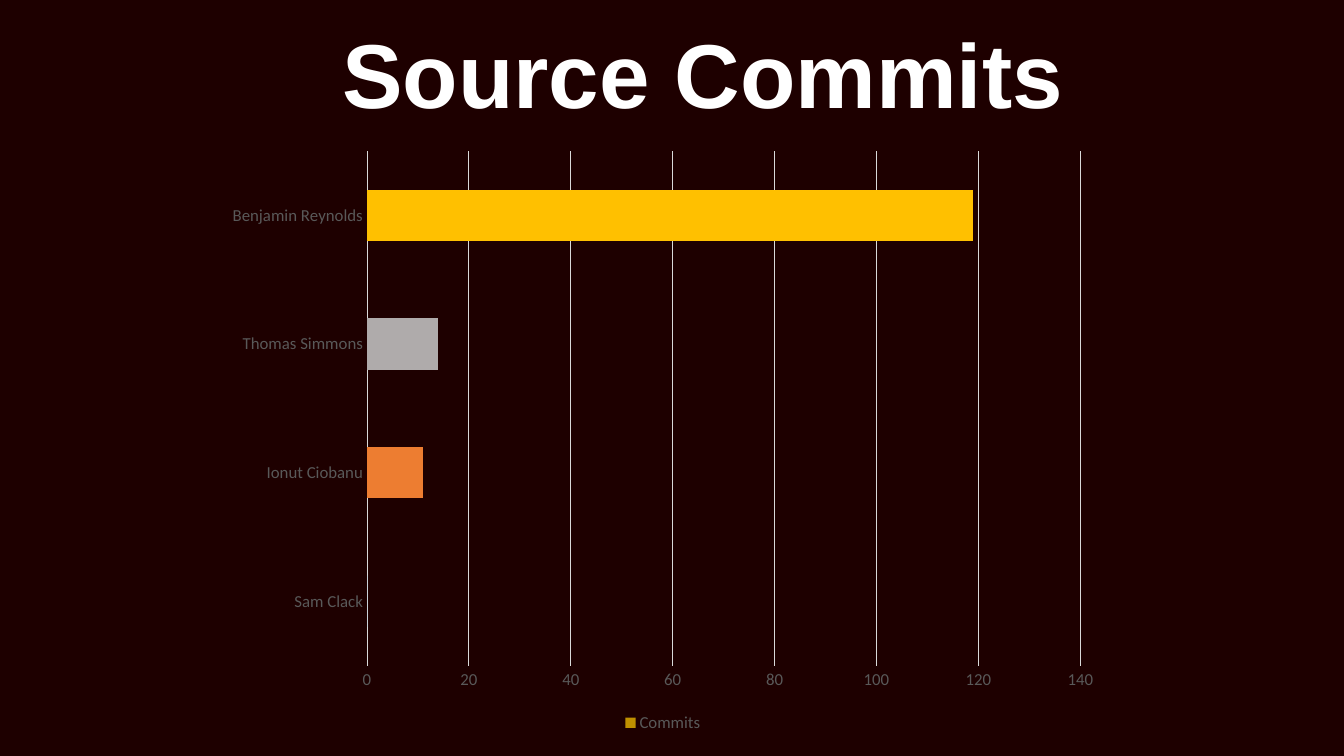
from pptx import Presentation
from pptx.chart.data import CategoryChartData
from pptx.dml.color import RGBColor
from pptx.enum.chart import XL_CHART_TYPE, XL_LEGEND_POSITION, XL_TICK_MARK
from pptx.enum.text import MSO_ANCHOR, MSO_AUTO_SIZE, PP_ALIGN
from pptx.util import Inches, Pt

COLORS = {
    "back": "1E0000", "title": "FFFFFF", "label": "595959", "grid": "D9D9D9",
    "series": "BF9000", "blue": "5B9BD5", "orange": "ED7D31",
    "gray": "AFABAB", "gold": "FFC000",
}
COMMITS = [
    ("Sam Clack", 0, "blue"),
    ("Ionut Ciobanu", 11, "orange"),
    ("Thomas Simmons", 14, "gray"),
    ("Benjamin Reynolds", 119, "gold"),
]


class Deck:
    def __init__(self):
        self.prs = Presentation()
        self.prs.slide_width = Inches(13.33)
        self.prs.slide_height = Inches(7.5)
        self.slide = self.prs.slides.add_slide(self.prs.slide_layouts[5])
        self.paint(self.slide.background.fill, "back")

    def paint(self, fill, color):
        fill.solid()
        fill.fore_color.rgb = RGBColor.from_string(COLORS[color])

    def style(self, font, size, color, name="Calibri", bold=False):
        font.size = Pt(size)
        font.name = name
        font.bold = bold
        font.color.rgb = RGBColor.from_string(COLORS[color])

    def title(self, text, left, top, width, height):
        box = self.slide.shapes.title
        box.left, box.top = Inches(left), Inches(top)
        box.width, box.height = Inches(width), Inches(height)
        frame = box.text_frame
        frame.text = text
        frame.word_wrap = True
        frame.auto_size = MSO_AUTO_SIZE.NONE
        frame.vertical_anchor = MSO_ANCHOR.MIDDLE
        para = frame.paragraphs[0]
        para.alignment = PP_ALIGN.CENTER
        para.line_spacing = 0.9
        self.style(para.runs[0].font, 64.8, "title", "Arial", True)

    def bars(self, name, rows, left, top, width, height):
        data = CategoryChartData()
        data.categories = [row[0] for row in rows]
        data.add_series(name, [row[1] for row in rows])
        chart = self.slide.shapes.add_chart(
            XL_CHART_TYPE.BAR_CLUSTERED, Inches(left), Inches(top),
            Inches(width), Inches(height), data).chart
        chart.has_title = False
        self.style(chart.font, 12, "label")

        # Axes and gridlines
        for axis in (chart.category_axis, chart.value_axis):
            axis.major_tick_mark = axis.minor_tick_mark = XL_TICK_MARK.NONE
            axis.format.line.fill.background()
            self.style(axis.tick_labels.font, 12, "label")
        axis = chart.value_axis
        axis.minimum_scale, axis.maximum_scale, axis.major_unit = 0, 140, 20
        axis.has_major_gridlines = True
        line = axis.major_gridlines.format.line
        line.width = Pt(0.75)
        self.paint(line.fill, "grid")

        # Legend
        chart.has_legend = True
        chart.legend.position = XL_LEGEND_POSITION.BOTTOM
        chart.legend.include_in_layout = False
        self.style(chart.legend.font, 12, "label")

        # One colour for each person
        plot = chart.plots[0]
        plot.gap_width = 150
        plot.vary_by_categories = False
        series = plot.series[0]
        self.paint(series.format.fill, "series")
        for i, row in enumerate(rows):
            self.paint(series.points[i].format.fill, row[2])


def main():
    deck = Deck()
    deck.title("Source Commits", 1.95, 0.32, 10.04, 0.92)
    deck.bars("Commits", COMMITS, 2.13, 1.38, 8.89, 5.93)
    deck.prs.save("out.pptx")


if __name__ == "__main__":
    main()
